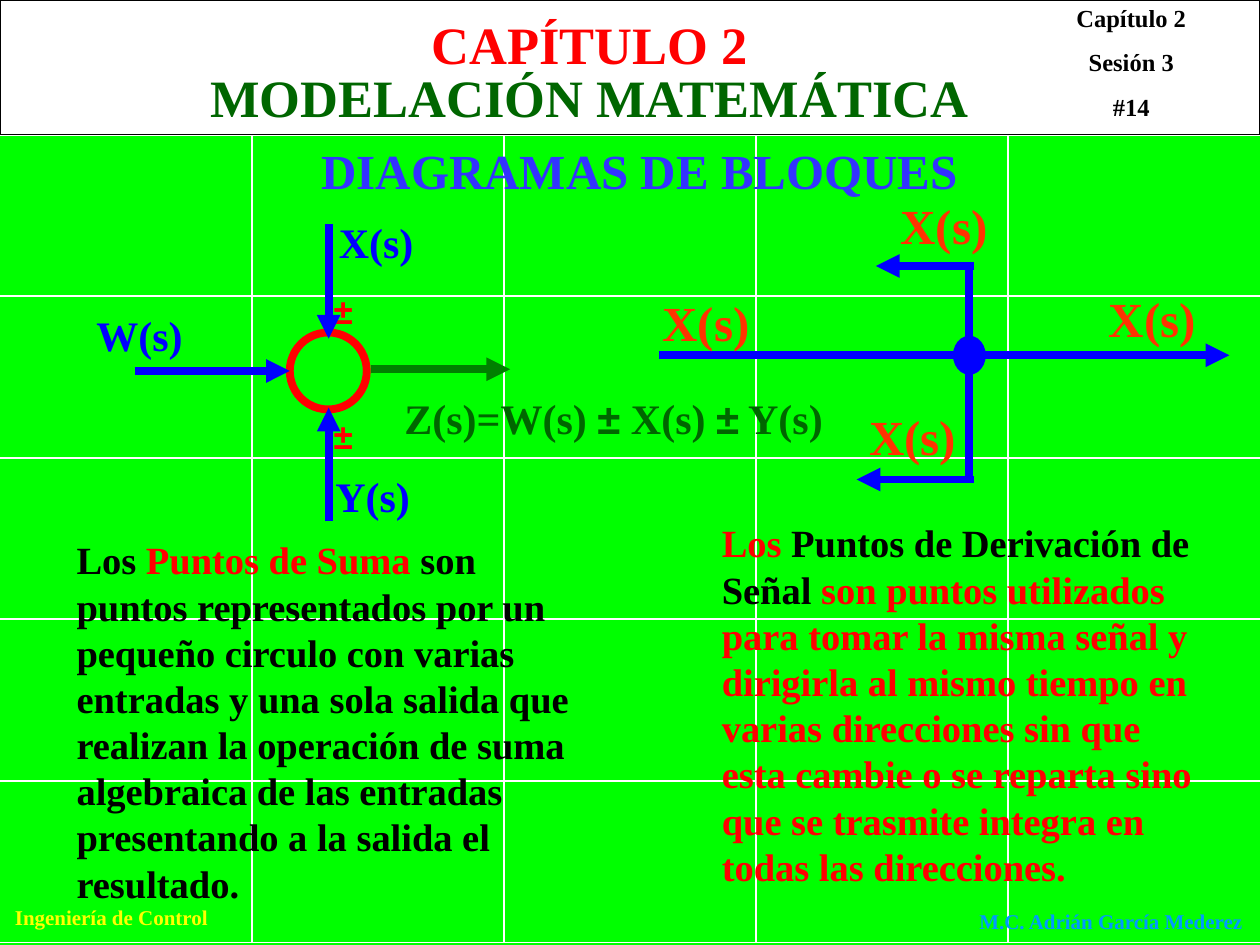
from dataclasses import dataclass

from lxml.etree import SubElement
from pptx import Presentation
from pptx.dml.color import RGBColor
from pptx.enum.shapes import MSO_CONNECTOR, MSO_SHAPE
from pptx.enum.text import MSO_ANCHOR, MSO_AUTO_SIZE, PP_ALIGN
from pptx.oxml.ns import qn
from pptx.util import Pt

WIDTH, HEIGHT = 720, 540
TITLE_ONLY_LAYOUT = 5


@dataclass(frozen=True)
class Theme:
    font: str = "Times New Roman"
    symbol_font: str = "Arial"
    background: str = "00FF00"
    white: str = "FFFFFF"
    black: str = "000000"
    blue: str = "0000FF"
    red: str = "FF0000"
    orange: str = "FF3300"
    violet: str = "3333FF"
    dark_green: str = "006600"
    output_green: str = "008000"
    yellow: str = "FFFF00"
    sky: str = "0099FF"
    chapter_size: int = 30
    title_size: int = 28
    branch_size: int = 28
    signal_size: int = 24
    body_size: int = 22
    sign_size: int = 20
    session_size: int = 14
    footer_size: int = 12
    signal_line: float = 4.5
    dot_line: float = 2.25
    grid_line: float = 1
    frame_line: float = 0.75


class SlideBuilder:
    def __init__(self, slide, theme):
        self.slide = slide
        self.theme = theme

    def background(self, color):
        fill = self.slide.background.fill
        fill.solid()
        fill.fore_color.rgb = RGBColor.from_string(color)

    def line(self, start, end, color, width, arrow=False):
        connector = self.slide.shapes.add_connector(
            MSO_CONNECTOR.STRAIGHT, *map(Pt, (*start, *end)))
        connector.line.color.rgb = RGBColor.from_string(color)
        connector.line.width = Pt(width)
        properties = connector._element.spPr
        if arrow:
            SubElement(properties.find(qn("a:ln")), qn("a:tailEnd"), type="triangle")
        SubElement(properties, qn("a:effectLst"))

    def signal(self, start, end, color=None, arrow=True):
        self.line(start, end, color or self.theme.blue, self.theme.signal_line, arrow)

    def shape(self, kind, box, line_color, line_width, fill_color=None):
        shape = self.slide.shapes.add_shape(kind, *map(Pt, box))
        shape.shadow.inherit = False
        if fill_color:
            shape.fill.solid()
            shape.fill.fore_color.rgb = RGBColor.from_string(fill_color)
        else:
            shape.fill.background()
        shape.line.color.rgb = RGBColor.from_string(line_color)
        shape.line.width = Pt(line_width)

    def format_run(self, run, size, color, font=None):
        run.font.name = font or self.theme.font
        run.font.size = Pt(size)
        run.font.bold = True
        run.font.color.rgb = RGBColor.from_string(color)

    def frame(self, shape):
        text_frame = shape.text_frame
        text_frame.word_wrap = True
        text_frame.auto_size = MSO_AUTO_SIZE.NONE
        text_frame.vertical_anchor = MSO_ANCHOR.TOP
        return text_frame

    def text(self, box, text, size, color, font=None, align=PP_ALIGN.LEFT, space=0):
        """Add a text box; each line of text becomes a paragraph."""
        text_frame = self.frame(self.slide.shapes.add_textbox(*map(Pt, box)))
        text_frame.text = text
        for paragraph in text_frame.paragraphs:
            paragraph.alignment = align
            paragraph.space_before = Pt(space)
            for run in paragraph.runs:
                self.format_run(run, size, color, font)

    def rich_text(self, box, parts, size, margin_right=7.2):
        """Add one paragraph made of (text, color, font) parts."""
        text_frame = self.frame(self.slide.shapes.add_textbox(*map(Pt, box)))
        text_frame.margin_right = Pt(margin_right)
        for text, color, font in parts:
            run = text_frame.paragraphs[0].add_run()
            run.text = text
            self.format_run(run, size, color, font)

    def title(self, box, text):
        """Fill the title placeholder and bring it in front of the grid."""
        title = self.slide.shapes.title
        title.left, title.top, title.width, title.height = map(Pt, box)
        text_frame = self.frame(title)
        text_frame.text = text
        paragraph = text_frame.paragraphs[0]
        paragraph.alignment = PP_ALIGN.CENTER
        self.format_run(paragraph.runs[0], self.theme.title_size, self.theme.violet)
        self.slide.shapes._spTree.append(title._element)


def draw_frame(builder):
    theme = builder.theme
    top, bottom, rows, columns = 77, 538.5, 5, 5
    builder.background(theme.background)
    for column in range(1, columns):
        x = WIDTH * column / columns
        builder.line((x, top), (x, bottom), theme.white, theme.grid_line)
    for row in range(rows + 1):
        y = top + (bottom - top) * row / rows
        builder.line((0, y), (WIDTH, y), theme.white, theme.grid_line)
    builder.shape(MSO_SHAPE.RECTANGLE, (0, 0, WIDTH, top),
                  theme.black, theme.frame_line, theme.white)
    builder.text((0, 513.5, 127.5, 21.5), "Ingeniería de Control",
                 theme.footer_size, theme.yellow, align=PP_ALIGN.CENTER)
    builder.text((552.5, 515.5, 167.5, 21.5), "M.C. Adrián García Mederez",
                 theme.footer_size, theme.sky)
    builder.text((587, -2, 119, 75.5), "Capítulo 2\nSesión 3\n#14",
                 theme.session_size, theme.black, align=PP_ALIGN.CENTER, space=8.8)
    for y, text, color in ((3.6, "CAPÍTULO 2", theme.red),
                           (33.8, "MODELACIÓN MATEMÁTICA", theme.dark_green)):
        builder.text((65, y, 544, 43), text, theme.chapter_size, color,
                     align=PP_ALIGN.CENTER)
    builder.title((48, 76.5, 635, 41), "DIAGRAMAS DE BLOQUES")


def draw_summing_point(builder):
    theme = builder.theme
    for y in (162, 233.5):
        builder.text((183.5, y, 35, 26), "±", theme.sign_size, theme.red,
                     theme.symbol_font)
    for x, y, text in ((186.5, 120, "X(s)"), (184.5, 265.5, "Y(s)"),
                       (48, 173.5, "W(s)")):
        builder.text((x, y, 65, 26), text, theme.signal_size, theme.blue)
    builder.shape(MSO_SHAPE.OVAL, (165.6, 190, 44, 44), theme.red, theme.signal_line)
    center = 187.8
    builder.signal((center, 128), (center, 193.5))
    builder.signal((77, 212), (165.6, 212))
    builder.signal((center, 298), (center, 233))
    builder.signal((212, 211), (291.5, 211), theme.output_green)
    plus_minus = ("±", theme.dark_green, theme.symbol_font)
    builder.rich_text((224, 221, 266.5, 26), (
        ("Z(s)=W(s) ", theme.dark_green, theme.font), plus_minus,
        (" X(s) ", theme.dark_green, theme.font), plus_minus,
        (" Y(s)", theme.dark_green, theme.font)), theme.signal_size)


def draw_branch_point(builder):
    theme = builder.theme
    center, upper, middle, lower = 553.8, 152, 203, 274
    builder.signal((376.5, middle), (702.5, middle))
    builder.signal((center, upper), (center, lower), arrow=False)
    builder.signal((556.5, lower), (489.5, lower))
    builder.signal((556.5, upper), (500.5, upper))
    builder.shape(MSO_SHAPE.OVAL, (545.7, 193, 16.5, 20), theme.blue,
                  theme.dot_line, theme.blue)
    for x, y in ((507.5, 108), (371.5, 163.5), (489.5, 229), (626.5, 161.5)):
        builder.text((x, y, 68.5, 45), "X(s)", theme.branch_size, theme.orange)


def write_definitions(builder):
    theme = builder.theme
    builder.rich_text((36.7, 303, 345.6, 219), (
        ("Los ", theme.black, theme.font),
        ("Puntos de Suma", theme.red, theme.font),
        (" son puntos representados por un pequeño circulo con varias entradas y "
         "una sola salida que realizan la operación de suma algebraica de las "
         "entradas presentando a la salida el resultado.", theme.black, theme.font),
    ), theme.body_size, margin_right=49.5)
    builder.rich_text((405.4, 293.3, 311.8, 219), (
        ("Los ", theme.red, theme.font),
        ("Puntos de Derivación de Señal", theme.black, theme.font),
        (" son puntos utilizados para tomar la misma señal y dirigirla al mismo "
         "tiempo en varias direcciones sin que esta cambie o se reparta sino que "
         "se trasmite integra en todas las direcciones.", theme.red, theme.font),
    ), theme.body_size, margin_right=33)


def main():
    presentation = Presentation()
    presentation.slide_width, presentation.slide_height = Pt(WIDTH), Pt(HEIGHT)
    layout = presentation.slide_layouts[TITLE_ONLY_LAYOUT]
    builder = SlideBuilder(presentation.slides.add_slide(layout), Theme())
    draw_frame(builder)
    draw_summing_point(builder)
    write_definitions(builder)
    draw_branch_point(builder)
    presentation.save("out.pptx")


if __name__ == "__main__":
    main()
